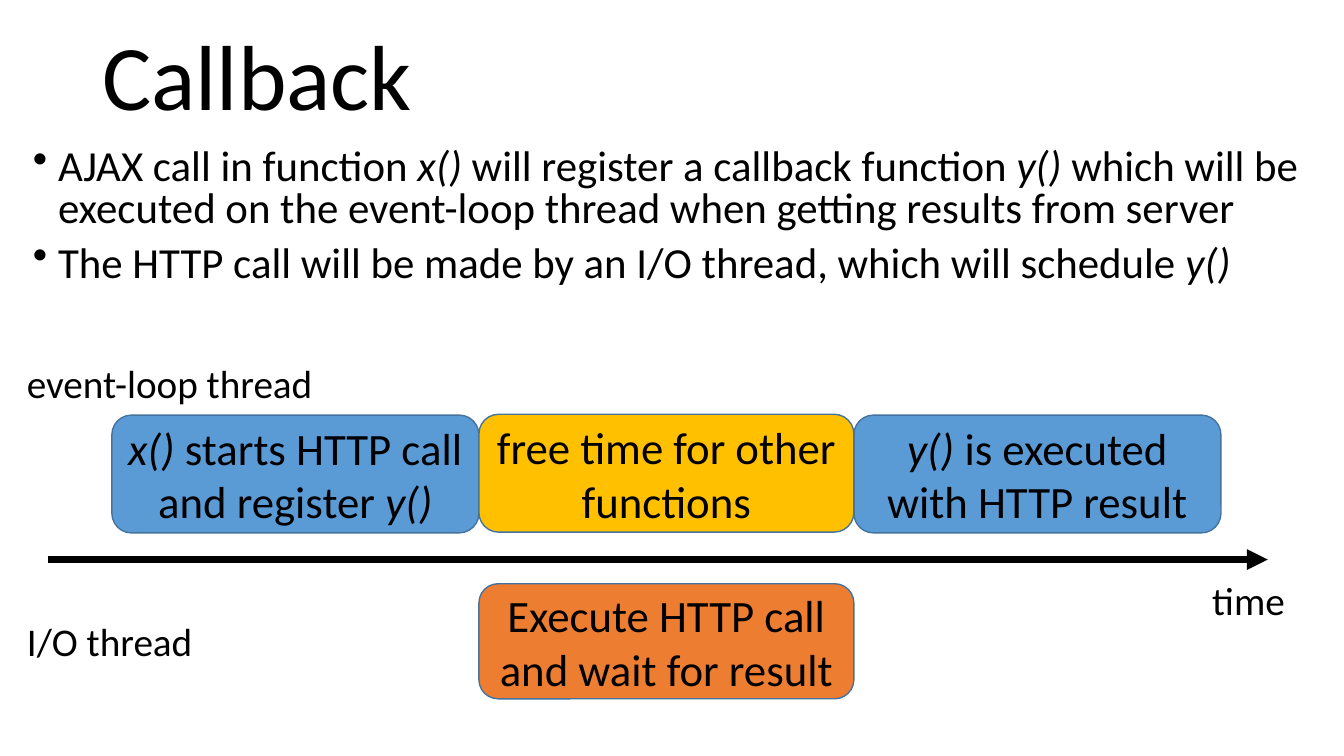
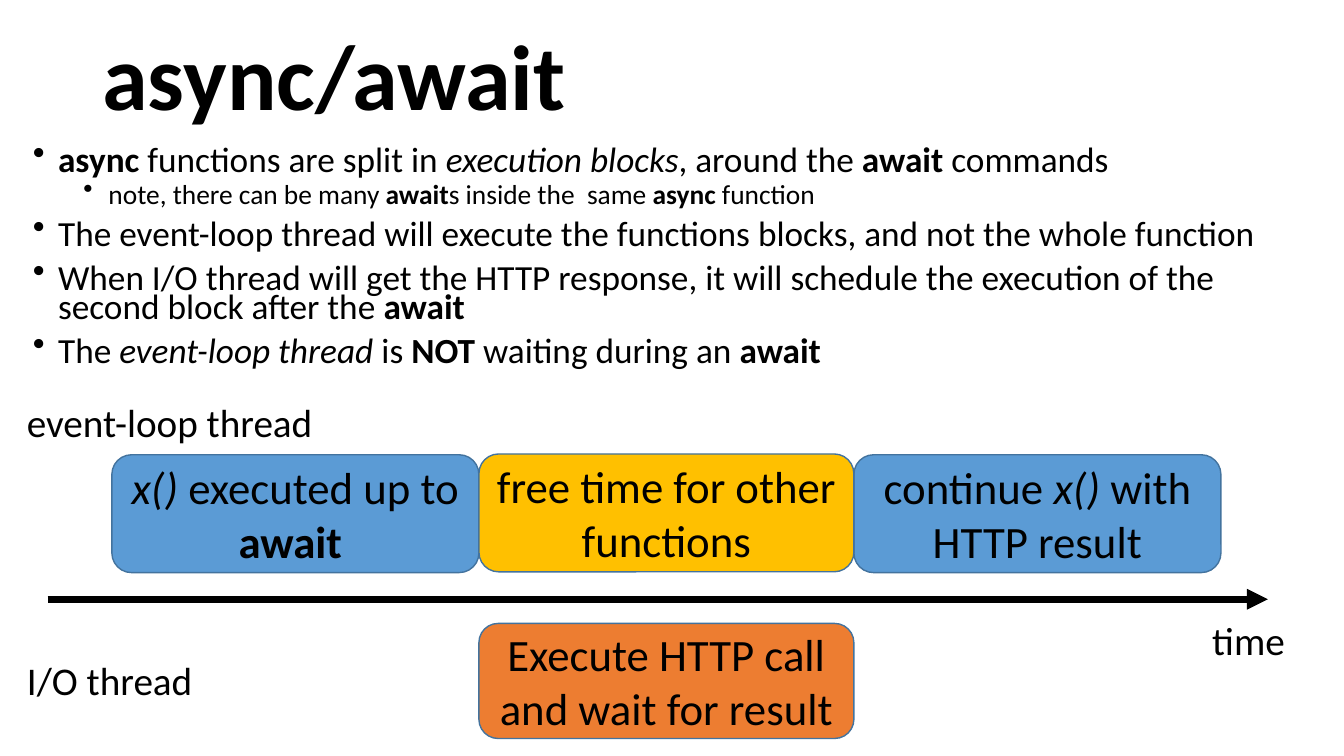
from dataclasses import dataclass

from lxml.etree import SubElement
from pptx import Presentation
from pptx.dml.color import RGBColor
from pptx.enum.shapes import MSO_CONNECTOR, MSO_SHAPE
from pptx.enum.text import MSO_ANCHOR as Anchor
from pptx.enum.text import MSO_AUTO_SIZE as AutoSize
from pptx.enum.text import PP_ALIGN as Align
from pptx.oxml.ns import qn
from pptx.util import Cm, Pt

# Shared style
FONT = "Calibri"
BLACK, BLUE, GOLD, ORANGE, OUTLINE = "000000", "5B9BD5", "FFC000", "ED7D31", "43739E"
TITLE_SIZE, BLOCK_SIZE, LABEL_SIZE = 66, 32, 28

# Timeline grid, in cm; heights are measured from the time axis
BLOCK_LEFT, SIDE_WIDTH, MIDDLE_WIDTH = 2.82, 9.25, 9.45
MIDDLE_LEFT = BLOCK_LEFT + SIDE_WIDTH
RIGHT_LEFT = MIDDLE_LEFT + MIDDLE_WIDTH
BLOCK_HEIGHT, IO_HEIGHT = 2.97, 2.9
AXIS_START, AXIS_END = 1.2, 31.95
LABEL_LEFT, LABEL_HEIGHT = 0.43, 1.45


@dataclass(frozen=True)
class Block:
    """One piece of work on the timeline."""
    text: str
    left: float
    rise: float
    width: float
    height: float
    fill: str


@dataclass(frozen=True)
class Label:
    text: str
    left: float
    rise: float
    width: float


@dataclass(frozen=True)
class Bullet:
    text: str
    size: float
    level: int = 0


@dataclass(frozen=True)
class Topic:
    """Content of one slide; in texts _..._ is bold and *...* is italic."""
    title: str
    bullets: tuple[Bullet, ...]
    bullets_height: float
    bullet_spacing: float
    axis_y: float
    before: str
    after: str


LABELS = (
    Label("time", 30.3, 0.3, 2.36),
    Label("I/O thread", LABEL_LEFT, 1.32, 4.72),
    Label("event-loop thread", LABEL_LEFT, -5.18, 7.82),
)

TOPICS = (
    Topic(
        title="Callback",
        bullets=(
            Bullet("AJAX call in function *x() *will register a callback function *y()* which "
                   "will be executed on the event-loop thread when getting results from server",
                   30.6),
            Bullet("The HTTP call will be made by an I/O thread, which will schedule* y()*", 30.6),
        ),
        bullets_height=3.97,
        bullet_spacing=0.8,
        axis_y=14.1,
        before="*x()* starts HTTP call\nand register *y()*",
        after="*y() *is executed with HTTP result",
    ),
    Topic(
        title="_async/await_",
        bullets=(
            Bullet("_async_ functions are split in *execution blocks*, "
                   "around the _await_ commands", 25.2),
            Bullet("note, there can be many _await_s inside the  same _async_ function", 19.6, 1),
            Bullet("The event-loop thread will execute the functions blocks, "
                   "and not the whole function", 25.2),
            Bullet("When I/O thread will get the HTTP response, it will schedule the "
                   "execution of the second block after the _await_", 25.2),
            Bullet("The *event-loop thread *is _NOT_ waiting during an _await_", 25.2),
        ),
        bullets_height=6.2,
        bullet_spacing=0.7,
        axis_y=15.1,
        before="*x()* executed up to_ await _",
        after="continue *x()* with HTTP result",
    ),
)


def rgb(value: str) -> RGBColor:
    return RGBColor.from_string(value)


def write(paragraph, text: str, *, size: float, color: str = BLACK, align=Align.LEFT,
          line_spacing: float = 1.0, space_before: float = 0) -> None:
    """Fill a paragraph with runs, reading the bold and italic marks."""
    paragraph.alignment = align
    paragraph.line_spacing = line_spacing
    paragraph.space_before = Pt(space_before)
    for bold_index, part in enumerate(text.split("_")):
        for italic_index, piece in enumerate(part.split("*")):
            if not piece:
                continue
            run = paragraph.add_run()
            run.text = piece
            run.font.name = FONT
            run.font.size = Pt(size)
            run.font.bold = bold_index % 2 == 1
            run.font.italic = italic_index % 2 == 1
            run.font.color.rgb = rgb(color)


def write_lines(frame, text: str, **text_format) -> None:
    for index, line in enumerate(text.split("\n")):
        paragraph = frame.add_paragraph() if index else frame.paragraphs[0]
        write(paragraph, line, **text_format)


def add_frame(slide, left: float, top: float, width: float, height: float,
              wrap: bool = True, anchor=Anchor.TOP):
    box = slide.shapes.add_textbox(Cm(left), Cm(top), Cm(width), Cm(height))
    frame = box.text_frame
    frame.word_wrap = wrap
    frame.vertical_anchor = anchor
    return frame


def add_title(slide, text: str) -> None:
    frame = add_frame(slide, 2.33, 0.18, 29.21, 3.68, anchor=Anchor.MIDDLE)
    write_lines(frame, text, size=TITLE_SIZE, line_spacing=0.9)


def add_bullets(slide, topic: Topic) -> None:
    frame = add_frame(slide, 0.58, 3.63, 32.74, topic.bullets_height)
    for index, bullet in enumerate(topic.bullets):
        paragraph = frame.add_paragraph() if index else frame.paragraphs[0]
        paragraph.level = bullet.level
        write(paragraph, bullet.text, size=bullet.size, line_spacing=topic.bullet_spacing,
              space_before=5 if bullet.level else 10)
        # Hanging indent and bullet sign
        properties = paragraph._p.get_or_add_pPr()
        hang = Pt(18)
        properties.set("marL", str(hang * (1 + 2 * bullet.level)))
        properties.set("indent", str(-hang))
        SubElement(properties, qn("a:buChar"), char="•")


def add_axis(slide, y: float) -> None:
    axis = slide.shapes.add_connector(
        MSO_CONNECTOR.STRAIGHT, Cm(AXIS_START), Cm(y), Cm(AXIS_END), Cm(y))
    axis.line.color.rgb = rgb(BLACK)
    axis.line.width = Pt(5)
    SubElement(axis.line._get_or_add_ln(), qn("a:tailEnd"), type="triangle")
    SubElement(axis._element.spPr, qn("a:effectLst"))


def add_block(slide, block: Block, axis_y: float) -> None:
    shape = slide.shapes.add_shape(
        MSO_SHAPE.ROUNDED_RECTANGLE, Cm(block.left), Cm(axis_y + block.rise),
        Cm(block.width), Cm(block.height))
    shape.shadow.inherit = False
    shape.fill.solid()
    shape.fill.fore_color.rgb = rgb(block.fill)
    shape.line.color.rgb = rgb(OUTLINE)
    shape.line.width = Pt(1)
    frame = shape.text_frame
    frame.word_wrap = True
    frame.vertical_anchor = Anchor.MIDDLE
    write_lines(frame, block.text, size=BLOCK_SIZE, align=Align.CENTER)


def add_label(slide, label: Label, axis_y: float) -> None:
    frame = add_frame(slide, label.left, axis_y + label.rise, label.width, LABEL_HEIGHT,
                      wrap=False)
    frame.auto_size = AutoSize.SHAPE_TO_FIT_TEXT
    write_lines(frame, label.text, size=LABEL_SIZE)


def add_timeline(slide, topic: Topic) -> None:
    blocks = (
        Block(topic.before, BLOCK_LEFT, -3.64, SIDE_WIDTH, BLOCK_HEIGHT, BLUE),
        Block("Execute HTTP call and wait for result",
              MIDDLE_LEFT, 0.61, MIDDLE_WIDTH, IO_HEIGHT, ORANGE),
        Block(topic.after, RIGHT_LEFT, -3.64, SIDE_WIDTH, BLOCK_HEIGHT, BLUE),
        Block("free time for other functions",
              MIDDLE_LEFT, -3.66, MIDDLE_WIDTH, BLOCK_HEIGHT, GOLD),
    )
    add_axis(slide, topic.axis_y)
    for block in blocks:
        add_block(slide, block, topic.axis_y)
    for label in LABELS:
        add_label(slide, label, topic.axis_y)


def main() -> None:
    deck = Presentation()
    deck.slide_width, deck.slide_height = Cm(33.87), Cm(19.05)
    blank = deck.slide_layouts[6]
    for topic in TOPICS:
        slide = deck.slides.add_slide(blank)
        add_title(slide, topic.title)
        add_bullets(slide, topic)
        add_timeline(slide, topic)
    deck.save("out.pptx")


if __name__ == "__main__":
    main()
